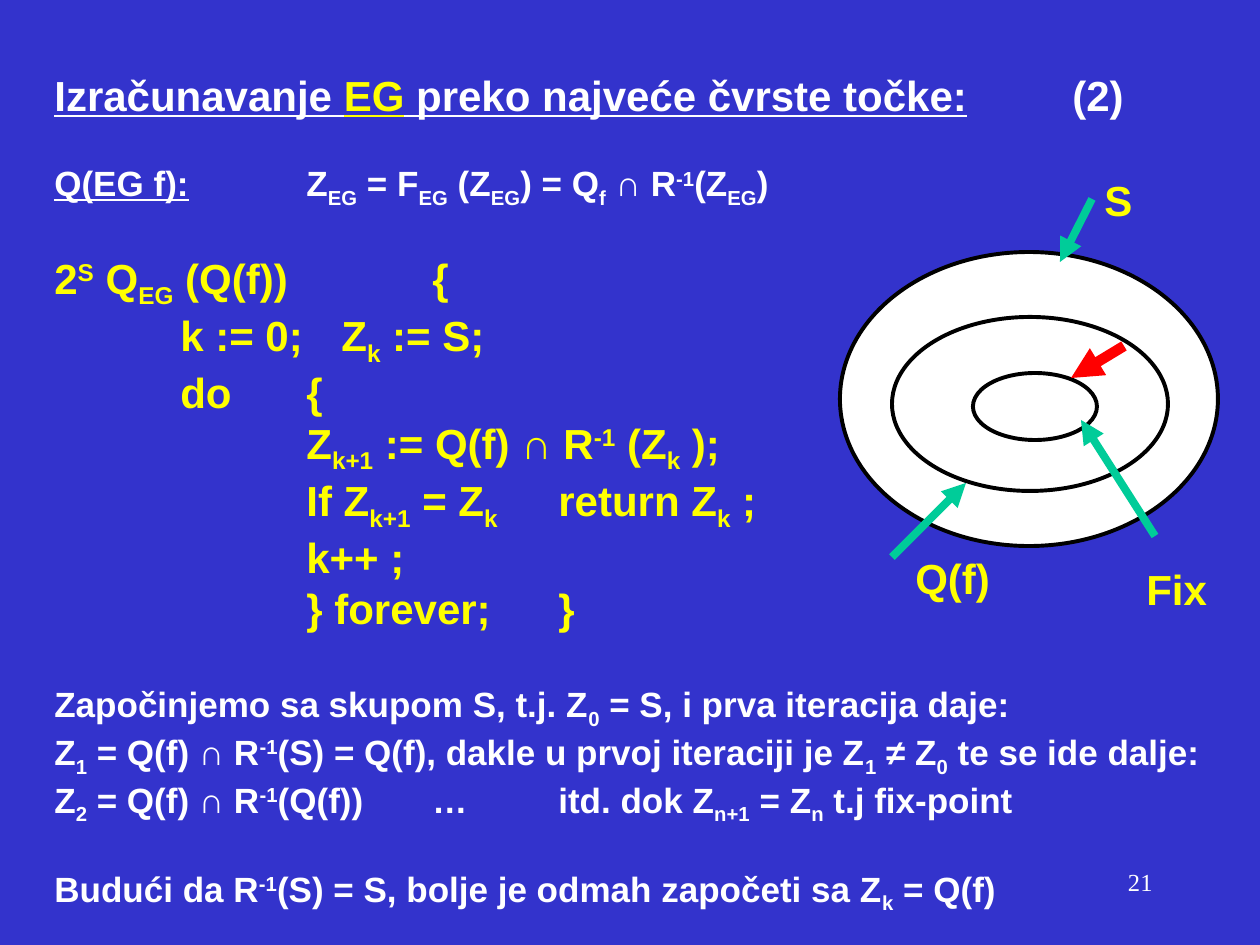
from pptx import Presentation
from pptx.dml.color import RGBColor
from pptx.enum.shapes import MSO_CONNECTOR, MSO_SHAPE
from pptx.enum.text import MSO_AUTO_SIZE, PP_ALIGN
from pptx.oxml.ns import qn
from pptx.util import Pt
from lxml.etree import SubElement

BLUE = RGBColor(0x33, 0x33, 0xCC)
WHITE = RGBColor(0xFF, 0xFF, 0xFF)
YELLOW = RGBColor(0xFF, 0xFF, 0x00)
BLACK = RGBColor(0x00, 0x00, 0x00)
RED = RGBColor(0xFF, 0x00, 0x00)
GREEN = RGBColor(0x00, 0xCC, 0x99)

SCALE = 914400 / 126
BASELINES = {"_": "-25000", "^": "30000"}
UNDERLINES = {"*": None, "!": YELLOW}
INCH_TABS = range(126, 1009, 126)

HEADING = dict(size=24, color=WHITE)
BODY = dict(size=20, color=WHITE)
CODE = dict(size=24, color=YELLOW)

LINES = [
    ("*Izračunavanje |!EG|* preko najveće čvrste točke:|\t(2)", dict(HEADING, tabs=[1018])),
    ("*Q(EG f):|\tZ|_EG| = F|_EG| (Z|_EG|) = Q|_f| ∩ R|^-1|(Z|_EG|)", dict(BODY, before=24)),
    ("2|^S| Q|_EG| (Q(f))\t\t{", dict(CODE, before=24.5)),
    ("\tk := 0;\tZ|_k| := S;", dict(CODE, tabs=[126, 287])),
    ("\tdo\t{", CODE),
    ("\t\tZ|_k+1| := Q(f) ∩ R|^-1| (Z|_k| );", CODE),
    ("\t\tIf Z|_k+1| = Z|_k|\treturn Z|_k| ;", CODE),
    ("\t\tk++ ;", CODE),
    ("\t\t} forever;\t}", CODE),
    ("Započinjemo sa skupom S, t.j. Z|_0| = S, i prva iteracija daje:", dict(BODY, before=28.5)),
    ("Z|_1| = Q(f) ∩ R|^-1|(S) = Q(f), dakle u prvoj iteraciji je Z|_1| ≠ Z|_0| te se ide dalje:", BODY),
    ("Z|_2| = Q(f) ∩ R|^-1|(Q(f))\t…\titd. dok Z|_n+1| = Z|_n| t.j fix-point", BODY),
    ("Budući da R|^-1|(S) = S, bolje je odmah započeti sa Z|_k| = Q(f)", dict(BODY, before=23.5)),
]
SETS = [(840, 252, 378, 294), (892, 317, 276, 174), (973, 373, 124, 67)]
LABELS = [("Fix", 1134, 557), ("Q(f)", 903, 546), ("S", 1092, 168)]
ARROWS = [
    ((1124, 346), (1071, 378), RED, 6),
    ((1092, 199), (1060, 262), GREEN, 4.5),
    ((892, 557), (966, 483), GREEN, 4.5),
    ((1155, 536), (1081, 420), GREEN, 4.5),
]


def px(*lengths):
    return [round(length * SCALE) for length in lengths]


def add_text(paragraph, text, *, size, color, font="Arial", bold=True,
             align=PP_ALIGN.LEFT, before=0, tabs=INCH_TABS):
    paragraph.alignment = align
    paragraph.space_before = Pt(before)
    stops = SubElement(paragraph._p.get_or_add_pPr(), qn("a:tabLst"))
    for stop in px(*tabs):
        SubElement(stops, qn("a:tab"), pos=str(stop), algn="l")
    for piece in text.split("|"):
        mark = piece[0]
        marked = mark in BASELINES or mark in UNDERLINES
        run = paragraph.add_run()
        run.text = piece[1:] if marked else piece
        run.font.name = font
        run.font.size = Pt(size)
        run.font.bold = bold
        run.font.color.rgb = UNDERLINES.get(mark) or color
        if mark in UNDERLINES:
            run.font.underline = True
        if mark in BASELINES:
            run._r.get_or_add_rPr().set("baseline", BASELINES[mark])


def add_box(slide, bounds, lines, auto_size=MSO_AUTO_SIZE.SHAPE_TO_FIT_TEXT):
    frame = slide.shapes.add_textbox(*px(*bounds)).text_frame
    frame.word_wrap = True
    frame.auto_size = auto_size
    for index, (text, style) in enumerate(lines):
        paragraph = frame.add_paragraph() if index else frame.paragraphs[0]
        add_text(paragraph, text, **style)


def add_set(group, bounds):
    ellipse = group.shapes.add_shape(MSO_SHAPE.OVAL, *px(*bounds))
    ellipse.shadow.inherit = False
    ellipse.fill.solid()
    ellipse.fill.fore_color.rgb = WHITE
    ellipse.line.color.rgb = BLACK
    ellipse.line.width = Pt(2.25)


def add_arrow(slide, start, end, color, width):
    arrow = slide.shapes.add_connector(MSO_CONNECTOR.STRAIGHT, *px(*start, *end))
    arrow.line.color.rgb = color
    arrow.line.width = Pt(width)
    SubElement(arrow.line._get_or_add_ln(), qn("a:tailEnd"), type="triangle")
    SubElement(arrow._element.spPr, qn("a:effectLst"))


def main():
    deck = Presentation()
    deck.slide_width, deck.slide_height = px(1260, 945)
    slide = deck.slides.add_slide(deck.slide_layouts[6])
    slide.background.fill.solid()
    slide.background.fill.fore_color.rgb = BLUE

    add_box(slide, (42, 63, 1197, 859), LINES)
    diagram = slide.shapes.add_group_shape()
    for bounds in SETS:
        add_set(diagram, bounds)
    for label, left, top in LABELS:
        add_box(slide, (left, top, 126, 63), [(label, CODE)])
    for arrow in ARROWS:
        add_arrow(slide, *arrow)
    page_style = dict(size=14, color=WHITE, font="Times New Roman", bold=False,
                      align=PP_ALIGN.RIGHT)
    add_box(slide, (903, 861, 262, 63), [("21", page_style)], MSO_AUTO_SIZE.NONE)
    deck.save("out.pptx")


if __name__ == "__main__":
    main()
